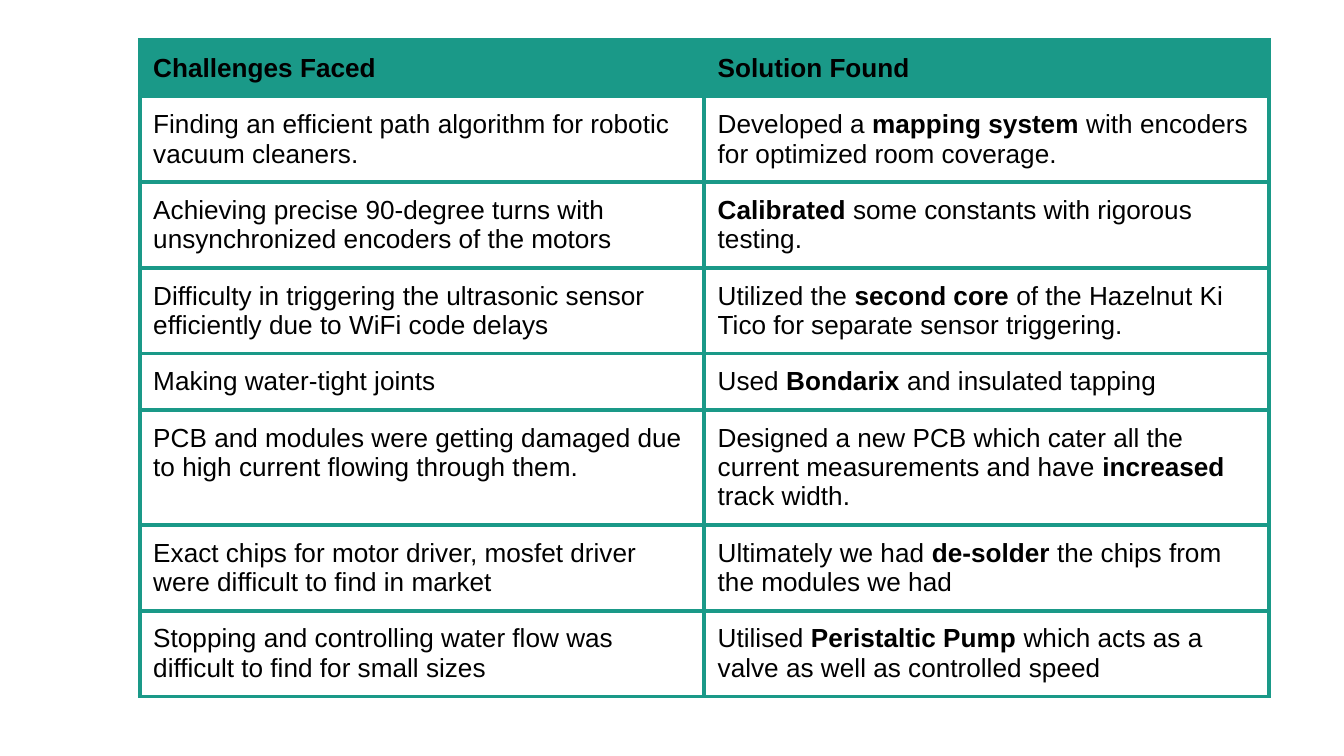
from typing import NamedTuple

from lxml.etree import SubElement
from pptx import Presentation
from pptx.dml.color import RGBColor
from pptx.oxml.ns import qn
from pptx.table import _Cell
from pptx.util import Inches, Pt

COLORS = {"teal": "1A9988", "text": "000000", "background": "FFFFFF"}
SLIDE_WIDTH = 10
SLIDE_HEIGHT = SLIDE_WIDTH * 9 / 16
FONT_NAME = "Arial"
FONT_SIZE = Pt(14)
BORDER_WIDTH = Pt(2.25)
COLUMN_WIDTH = 4.2
HEADER_HEIGHT = 0.11
ROW_HEIGHT = 0.42
CELL_MARGIN = Inches(0.1)


class Entry(NamedTuple):
    """A challenge and its solution, which has one bold phrase."""
    challenge: str
    before: str
    emphasis: str
    after: str


HEADINGS = ("Challenges Faced", "Solution Found")
ENTRIES = [
    Entry("Finding an efficient path algorithm for robotic vacuum cleaners.",
          "Developed a ", "mapping system",
          " with encoders for optimized room coverage."),
    Entry("Achieving precise 90-degree turns with unsynchronized encoders of the motors",
          "", "Calibrated", " some constants with rigorous testing."),
    Entry("Difficulty in triggering the ultrasonic sensor efficiently due to WiFi code delays",
          "Utilized the ", "second core",
          " of the Hazelnut Ki Tico for separate sensor triggering."),
    Entry("Making water-tight joints",
          "Used ", "Bondarix", " and insulated tapping"),
    Entry("PCB and modules were getting damaged due to high current flowing through them.",
          "Designed a new PCB which cater all the current measurements and have ",
          "increased ", "track width."),
    Entry("Exact chips for motor driver, mosfet driver were difficult to find in market",
          "Ultimately we had ", "de-solder", " the chips from the modules we had"),
    Entry("Stopping and controlling water flow was difficult to find for small sizes",
          "Utilised ", "Peristaltic Pump",
          " which acts as a valve as well as controlled speed"),
]


def add_run(cell: _Cell, text: str, bold: bool = False) -> None:
    run = cell.text_frame.paragraphs[0].add_run()
    run.text = text
    run.font.name = FONT_NAME
    run.font.size = FONT_SIZE
    run.font.bold = bold
    run.font.color.rgb = RGBColor.from_string(COLORS["text"])


def style_cell(cell: _Cell, is_header: bool) -> None:
    """Set margins, borders and fill; borders must precede the fill in the XML."""
    cell.margin_left = cell.margin_right = CELL_MARGIN
    cell.margin_top = cell.margin_bottom = CELL_MARGIN
    properties = cell._tc.get_or_add_tcPr()
    for side in ("a:lnL", "a:lnR", "a:lnT", "a:lnB"):
        line = SubElement(properties, qn(side), w=str(int(BORDER_WIDTH)))
        fill = SubElement(line, qn("a:solidFill"))
        SubElement(fill, qn("a:srgbClr"), val=COLORS["teal"])
    if is_header:
        cell.fill.solid()
        cell.fill.fore_color.rgb = RGBColor.from_string(COLORS["teal"])
    else:
        cell.fill.background()


def main() -> None:
    presentation = Presentation()
    presentation.slide_width = Inches(SLIDE_WIDTH)
    presentation.slide_height = Inches(SLIDE_HEIGHT)
    slide = presentation.slides.add_slide(presentation.slide_layouts[6])
    slide.background.fill.solid()
    slide.background.fill.fore_color.rgb = RGBColor.from_string(COLORS["background"])

    table = slide.shapes.add_table(
        len(ENTRIES) + 1, len(HEADINGS), Inches(1.04), Inches(0.3),
        Inches(COLUMN_WIDTH * len(HEADINGS)),
        Inches(HEADER_HEIGHT + ROW_HEIGHT * len(ENTRIES)),
    ).table
    table.horz_banding = False
    table.first_row = False
    for column in table.columns:
        column.width = Inches(COLUMN_WIDTH)
    for index, row in enumerate(table.rows):
        row.height = Inches(ROW_HEIGHT if index else HEADER_HEIGHT)
        for cell in row.cells:
            style_cell(cell, is_header=index == 0)

    for column_index, heading in enumerate(HEADINGS):
        add_run(table.cell(0, column_index), heading, bold=True)
    for row_index, entry in enumerate(ENTRIES, start=1):
        add_run(table.cell(row_index, 0), entry.challenge)
        solution = table.cell(row_index, 1)
        if entry.before:
            add_run(solution, entry.before)
        add_run(solution, entry.emphasis, bold=True)
        add_run(solution, entry.after)

    presentation.save("out.pptx")


if __name__ == "__main__":
    main()
